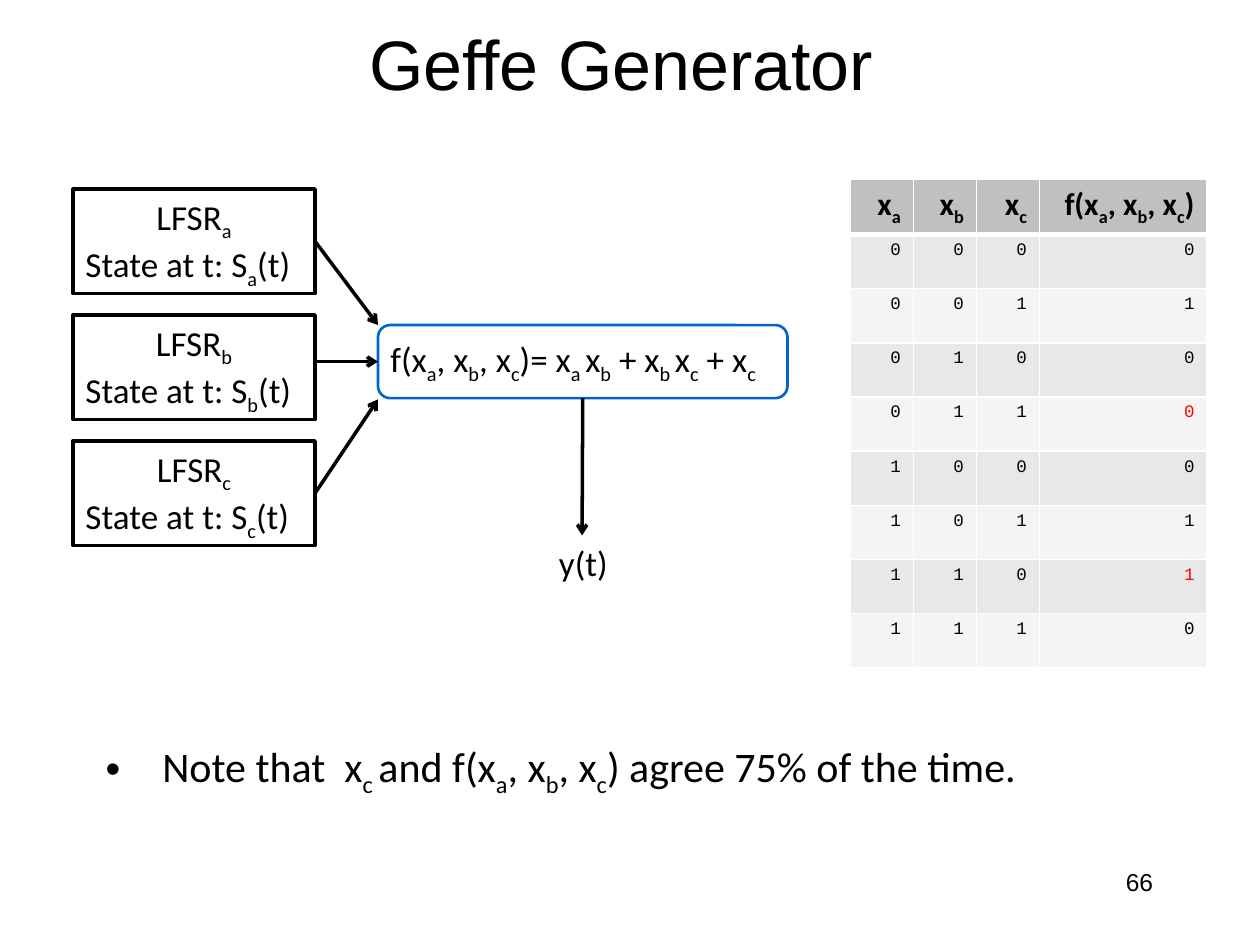
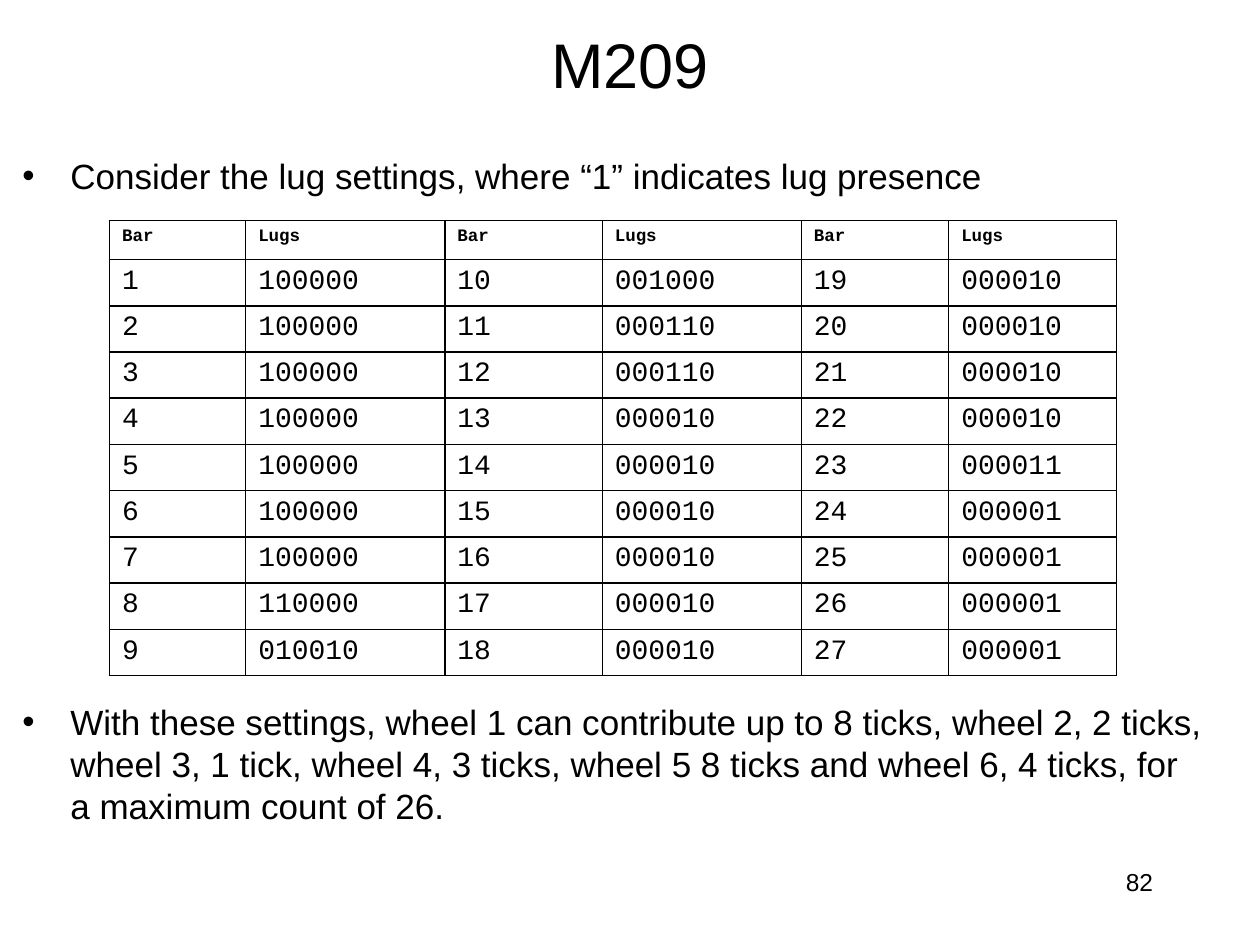
from itertools import product

from lxml.etree import SubElement
from pptx import Presentation
from pptx.dml.color import RGBColor
from pptx.enum.shapes import MSO_CONNECTOR, MSO_SHAPE
from pptx.enum.text import MSO_ANCHOR as Anchor, PP_ALIGN as Align
from pptx.oxml.ns import qn
from pptx.util import Inches, Pt

BLACK, WHITE, RED, BLUE = "000000", "FFFFFF", "FF0000", "0066CC"
HEADER_GRAY, BANDS = "C0C0C0", ("E8E8E8", "F4F4F4")
BOTTOM, RIGHT, LEFT, TOP = 2, 3, 1, 0
DIAGRAM_FONT = {"name": "Calibri", "size": Pt(20)}
CODE_FONT = {"name": "Courier New", "size": Pt(10)}


def color(hex_string):
    return RGBColor.from_string(hex_string)


def set_attributes(target, **values):
    for name, value in values.items():
        setattr(target, name, value)


def write(paragraph, text, font, align=Align.LEFT, font_color=BLACK):
    """Fill a paragraph; every second part between bars is a subscript."""
    paragraph.alignment = align
    for index, part in enumerate(text.split("|")):
        if not part:
            continue
        run = paragraph.add_run()
        run.text = part
        set_attributes(run.font, **font)
        run.font.color.rgb = color(font_color)
        if index % 2:
            run._r.get_or_add_rPr().set("baseline", "-25000")


def add_text(slide, box, text, font, align=Align.LEFT, anchor=Anchor.TOP):
    frame = slide.shapes.add_textbox(*map(Inches, box)).text_frame
    set_attributes(frame, word_wrap=True, vertical_anchor=anchor)
    write(frame.paragraphs[0], text, font, align)
    return frame.paragraphs[0]


def add_title(slide, text, size, left=0.5):
    add_text(slide, (left, 0, 9, 1), text, {"name": "Arial", "size": Pt(size)},
             Align.CENTER, Anchor.MIDDLE)


def add_page_number(slide, number):
    add_text(slide, (7.17, 6.83, 2.08, 0.5), str(number),
             {"name": "Arial", "size": Pt(14)}, Align.RIGHT)


def add_bullet(slide, box, text, font, indent=0.38):
    paragraph = add_text(slide, box, text, font)
    properties = paragraph._p.get_or_add_pPr()
    properties.set("marL", str(Inches(indent)))
    properties.set("indent", str(-Inches(indent)))
    SubElement(properties, qn("a:buFont"), typeface="Arial")
    SubElement(properties, qn("a:buChar"), char="•")
    return paragraph


def add_box(slide, kind, box, lines, outline, width, anchor, wrap=True):
    """Draw an outlined box holding (text, alignment) lines."""
    shape = slide.shapes.add_shape(kind, *map(Inches, box))
    shape.shadow.inherit = False
    shape.fill.background()
    shape.line.color.rgb = color(outline)
    shape.line.width = Pt(width)
    frame = shape.text_frame
    set_attributes(frame, word_wrap=wrap, vertical_anchor=anchor)
    for index, (text, align) in enumerate(lines):
        paragraph = frame.add_paragraph() if index else frame.paragraphs[0]
        write(paragraph, text, DIAGRAM_FONT, align)
    return shape


def add_arrow(slide, start, end, begin_at=None, end_at=None):
    """Draw an arrow; begin_at and end_at are (shape, side) joints."""
    arrow = slide.shapes.add_connector(MSO_CONNECTOR.STRAIGHT, *map(Inches, start + end))
    if begin_at:
        arrow.begin_connect(*begin_at)
    if end_at:
        arrow.end_connect(*end_at)
    arrow.line.color.rgb = color(BLACK)
    arrow.line.width = Pt(2)
    SubElement(arrow.line._get_or_add_ln(), qn("a:tailEnd"), type="arrow")
    SubElement(arrow._element.spPr, qn("a:effectLst"))


def set_borders(cell, hex_string, top=1, bottom=1):
    properties = cell._tc.get_or_add_tcPr()
    widths = {"a:lnL": 1, "a:lnR": 1, "a:lnT": top, "a:lnB": bottom}
    for position, (tag, width) in enumerate(widths.items()):
        line = SubElement(properties, qn(tag), w=str(Pt(width)))
        fill = SubElement(line, qn("a:solidFill"))
        SubElement(fill, qn("a:srgbClr"), val=hex_string)
        properties.insert(position, line)


def add_table(slide, left, top, columns, heights, rows):
    """Add a plain table and yield each cell with its row, column and text."""
    table = slide.shapes.add_table(
        len(rows), len(columns), Inches(left), Inches(top),
        Inches(sum(columns)), Inches(sum(heights))).table
    set_attributes(table, first_row=False, horz_banding=False)
    for column, width in zip(table.columns, columns):
        column.width = Inches(width)
    for row, height in zip(table.rows, heights):
        row.height = Inches(height)
    for (i, texts) in enumerate(rows):
        for j, text in enumerate(texts):
            yield table.cell(i, j), i, j, text


def add_truth_table(slide):
    inputs = product("01", repeat=3)
    rows = [("x|a", "x|b", "x|c", "f(x|a|, x|b|, x|c|)")]
    rows += [(*bits, output) for bits, output in zip(inputs, "01000110")]
    red_cells = {(4, 3), (7, 3)}
    header_font = {"name": "Calibri", "size": Pt(18), "bold": True}
    for cell, i, j, text in add_table(slide, 6.75, 1.42, [0.5] * 3 + [1.33],
                                      [0.43] * len(rows), rows):
        write(cell.text_frame.paragraphs[0], text, CODE_FONT if i else header_font,
              Align.RIGHT, RED if (i, j) in red_cells else BLACK)
        cell.fill.solid()
        cell.fill.fore_color.rgb = color(BANDS[(i - 1) % 2] if i else HEADER_GRAY)
        set_borders(cell, WHITE, top=3 if i == 1 else 1, bottom=1 if i else 3)


def add_lug_table(slide):
    lugs = (["100000"] * 7 + ["110000", "010010", "001000"] + ["000110"] * 2
            + ["000010"] * 10 + ["000011"] + ["000001"] * 4)
    rows = [("Bar", "Lugs") * 3]
    for first in range(9):
        bars = range(first, len(lugs), 9)
        rows.append([text for bar in bars for text in (str(bar + 1), lugs[bar])])
    for cell, i, _, text in add_table(slide, 0.87, 1.75,
                                      [1.08, 1.58, 1.25, 1.58, 1.17, 1.33],
                                      [0.31] + [0.35] * 9, rows):
        font = {**CODE_FONT, "size": Pt(16)} if i else {**CODE_FONT, "bold": True}
        write(cell.text_frame.paragraphs[0], text, font)
        cell.fill.background()
        set_borders(cell, BLACK)


def build_geffe_slide(slide):
    add_title(slide, "Geffe Generator", 40, left=0.43)
    registers = [
        add_box(slide, MSO_SHAPE.RECTANGLE, (0.58, 1.5 + index, 1.92, 0.83),
                [(f"LFSR|{name}", Align.CENTER),
                 (f"State at t: S|{name}|(t)", Align.LEFT)],
                BLACK, 2, Anchor.TOP)
        for index, name in enumerate("abc")]
    combiner = add_box(
        slide, MSO_SHAPE.ROUNDED_RECTANGLE, (3, 2.58, 3.25, 0.58),
        [("f(x|a|, x|b|, x|c|)= x|a |x|b| + x|b |x|c| + x|c", Align.LEFT)],
        BLUE, 1.5, Anchor.MIDDLE, wrap=False)
    combiner.text_frame.margin_left = Inches(0.07)
    add_arrow(slide, (2.5, 1.92), (3, 2.58), begin_at=(registers[0], RIGHT))
    add_arrow(slide, (2.5, 2.87), (3, 2.87), end_at=(combiner, LEFT))
    add_arrow(slide, (2.5, 3.92), (3, 3.17), begin_at=(registers[2], RIGHT))
    add_text(slide, (4.17, 4.25, 0.92, 0.44), "y(t)", DIAGRAM_FONT, Align.CENTER)
    add_arrow(slide, (4.62, 3.16), (4.62, 4.25), begin_at=(combiner, BOTTOM))
    add_truth_table(slide)
    add_bullet(slide, (0.74, 5.83, 8.67, 0.84),
               "Note that  x|c |and f(x|a|, x|b|, x|c|) agree 75% of the time.",
               {"name": "Calibri", "size": Pt(24)}, indent=0.45)
    add_page_number(slide, 66)


def build_m209_slide(slide):
    add_title(slide, "M209", 36)
    bullets = [
        (1.18, 0.45, "Consider the lug settings, where “1” indicates lug presence"),
        (5.51, 1.15, "With these settings, wheel 1 can contribute up to 8 ticks, "
                     "wheel 2, 2 ticks, wheel 3, 1 tick, wheel 4, 3 ticks, wheel 5 "
                     "8 ticks and wheel 6, 4 ticks, for a maximum count of 26."),
    ]
    for top, height, text in bullets:
        paragraph = add_bullet(slide, (0.08, top, 9.58, height), text,
                               {"name": "Arial", "size": Pt(20)})
        paragraph.line_spacing = Pt(24)
    add_lug_table(slide)
    add_page_number(slide, 82)


def main():
    presentation = Presentation()
    set_attributes(presentation, slide_width=Inches(10), slide_height=Inches(7.5))
    blank = presentation.slide_layouts[6]
    for build in (build_geffe_slide, build_m209_slide):
        build(presentation.slides.add_slide(blank))
    presentation.save("out.pptx")


if __name__ == "__main__":
    main()
